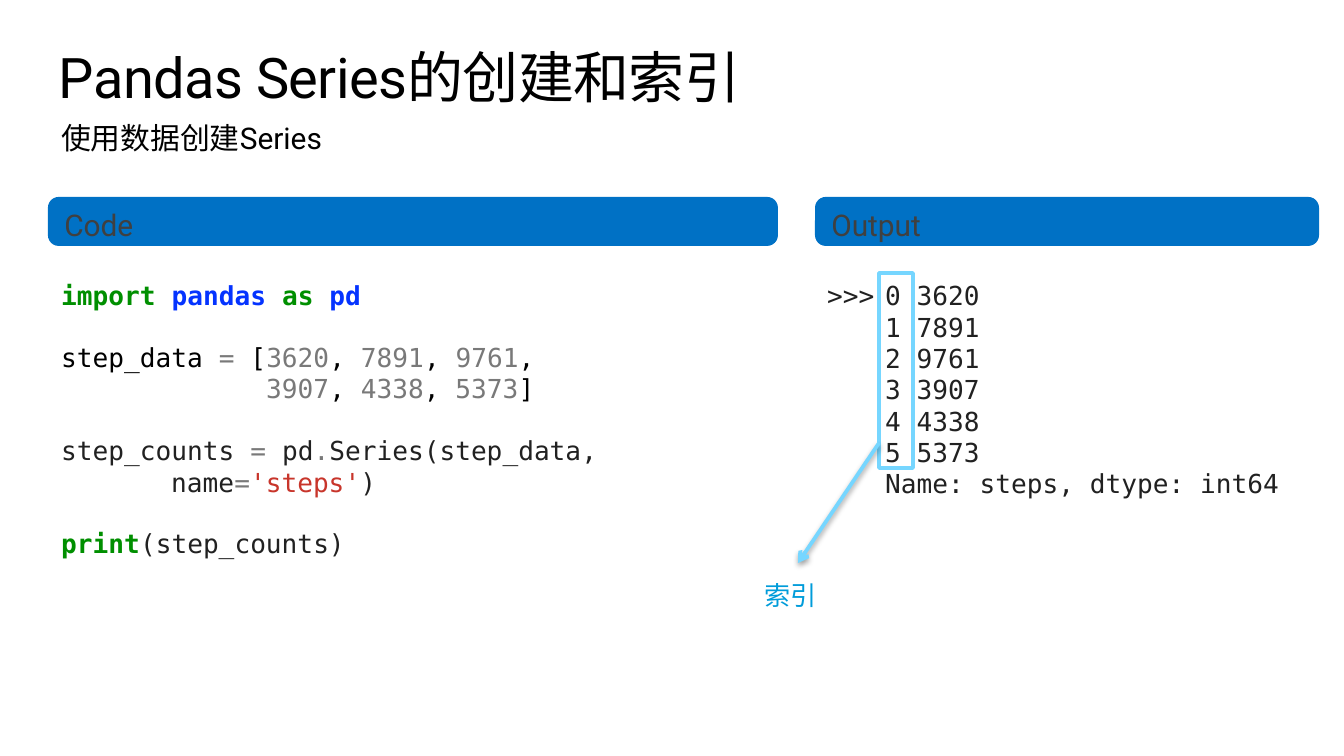
from lxml import etree
from pptx import Presentation
from pptx import util as u
from pptx.dml.color import RGBColor
from pptx.enum import shapes, text
from pptx.oxml.ns import qn

SCALE = 9144000 / 1344
COLOURS = {
    "black": "000000", "keyword": "008F00", "module": "0433FF", "muted": "797979",
    "plain": "212121", "string": "C8352B", "bar": "0071C5", "heading": "404040",
    "highlight": "76D6FF", "note": "009CDA",
}
BOLD = ("keyword", "module")
MONO = {"name": "DejaVu Sans Mono", "size": u.Pt(14)}
FRAME = {"word_wrap": True, "vertical_anchor": text.MSO_ANCHOR.TOP}


def px(*lengths):
    return [u.Emu(round(length * SCALE)) for length in lengths]


def add_runs(paragraph, runs, font):
    paragraph.alignment = text.PP_ALIGN.LEFT
    for colour, words in runs:
        run = paragraph.add_run()
        run.text = words
        for key, value in {**font, "bold": colour in BOLD}.items():
            setattr(run.font, key, value)
        run.font.color.rgb = RGBColor.from_string(COLOURS[colour])


prs = Presentation()
prs.slide_width, prs.slide_height = px(1344, 756)
slide = prs.slides.add_slide(prs.slide_layouts[5])

title = slide.shapes.title
title.left, title.top, title.width, title.height = px(43 + 16, 43, 1240, 67)
for key, value in {**FRAME, "auto_size": text.MSO_AUTO_SIZE.NONE, "margin_left": 0,
                   "margin_top": 0, "margin_right": 0, "margin_bottom": 0}.items():
    setattr(title.text_frame, key, value)
heading = title.text_frame.paragraphs[0]
add_runs(heading, [("black", "Pandas Series的创建和索引")], {"name": "Roboto", "size": u.Pt(30)})
heading.runs[0].font._element.set("spc", "-30")

code_lines = [
    (0, False, [("keyword", "import "), ("module", "pandas "), ("keyword", "as "),
                ("module", "pd")]),
    (0, True, [("black", "step_data "), ("muted", "="), ("black", " ["), ("muted", "3620"),
               ("black", ", "), ("muted", "7891"), ("black", ", "), ("muted", "9761"),
               ("black", ",")]),
    (205, False, [("muted", "3907"), ("black", ", "), ("muted", "4338"), ("black", ", "),
                  ("muted", "5373"), ("black", "]")]),
    (0, True, [("plain", "step_counts "), ("muted", "= "), ("plain", "pd"), ("muted", "."),
               ("plain", "Series(step_data,")]),
    (110, False, [("plain", "name"), ("muted", "="), ("string", "'steps'"), ("plain", ")")]),
    (0, True, [("keyword", "print"), ("plain", "(step_counts)")]),
]
output_lines = [">>>\t0 3620", "\t1 7891", "\t2 9761", "\t3 3907", "\t4 4338", "\t5 5373",
                "\tName: steps, dtype: int64"]

frames = []
for box in [(48, 273, 728, 298), (814, 273, 484, 289), (48, 113, 1005, 50), (751, 573, 153, 46)]:
    frame = slide.shapes.add_textbox(*px(*box)).text_frame
    for key, value in FRAME.items():
        setattr(frame, key, value)
    frames.append(frame)
code, output, subtitle, note = frames

for number, (indent, gap, runs) in enumerate(code_lines):
    line = code.add_paragraph() if number else code.paragraphs[0]
    add_runs(line, runs, MONO)
    if gap:
        line.space_before = u.Pt(16.3)
    if indent:
        line._p.get_or_add_pPr().set("marL", str(px(indent)[0]))

for number, words in enumerate(output_lines):
    line = output.add_paragraph() if number else output.paragraphs[0]
    add_runs(line, [("plain", words)], MONO)
    tabs = etree.SubElement(line._p.get_or_add_pPr(), qn("a:tabLst"))
    etree.SubElement(tabs, qn("a:tab"), pos=str(px(58)[0]), algn="l")

add_runs(subtitle.paragraphs[0], [("black", "使用数据创建Series")],
         {"name": "Roboto", "size": u.Pt(16)})
add_runs(note.paragraphs[0], [("note", "索引")], {"name": "Arial", "size": u.Pt(14)})

for label, left, width in [("Code", 48, 730), ("Output", 815, 504)]:
    bar = slide.shapes.add_shape(shapes.MSO_SHAPE.ROUNDED_RECTANGLE, *px(left, 197, width, 49))
    bar.adjustments[0] = 0.22
    bar.shadow.inherit = False
    bar.fill.solid()
    bar.fill.fore_color.rgb = RGBColor.from_string(COLOURS["bar"])
    bar.line.fill.background()
    for key, value in FRAME.items():
        setattr(bar.text_frame, key, value)
    add_runs(bar.text_frame.paragraphs[0], [("heading", label)],
             {"name": "Roboto", "size": u.Pt(16)})

index_frame = slide.shapes.add_shape(shapes.MSO_SHAPE.RECTANGLE, *px(879, 273, 34, 195))
index_frame.shadow.inherit = False
index_frame.fill.background()
pointer = slide.shapes.add_connector(shapes.MSO_CONNECTOR.STRAIGHT, *px(879, 443, 798, 563))
for outlined in (index_frame, pointer):
    outlined.line.color.rgb = RGBColor.from_string(COLOURS["highlight"])
    outlined.line.width = u.Pt(2)

etree.SubElement(pointer.line._get_or_add_ln(), qn("a:tailEnd"), type="arrow")
effects = etree.SubElement(pointer._element.spPr, qn("a:effectLst"))
shadow = etree.SubElement(effects, qn("a:outerShdw"), blurRad="40000", dist="20000",
                          dir="5400000", rotWithShape="0")
shade = etree.SubElement(shadow, qn("a:srgbClr"), val=COLOURS["black"])
etree.SubElement(shade, qn("a:alpha"), val="38000")

prs.save("out.pptx")
